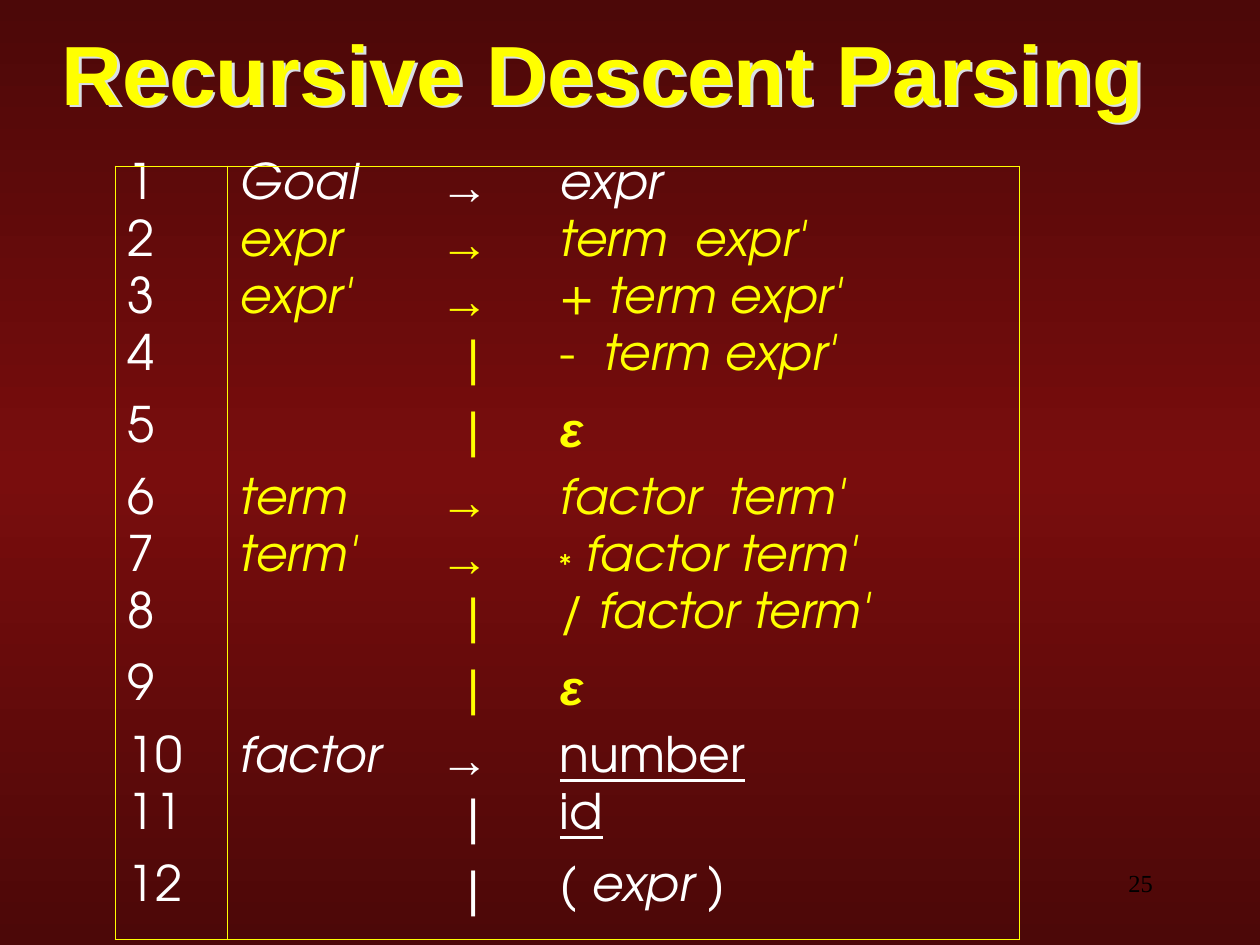
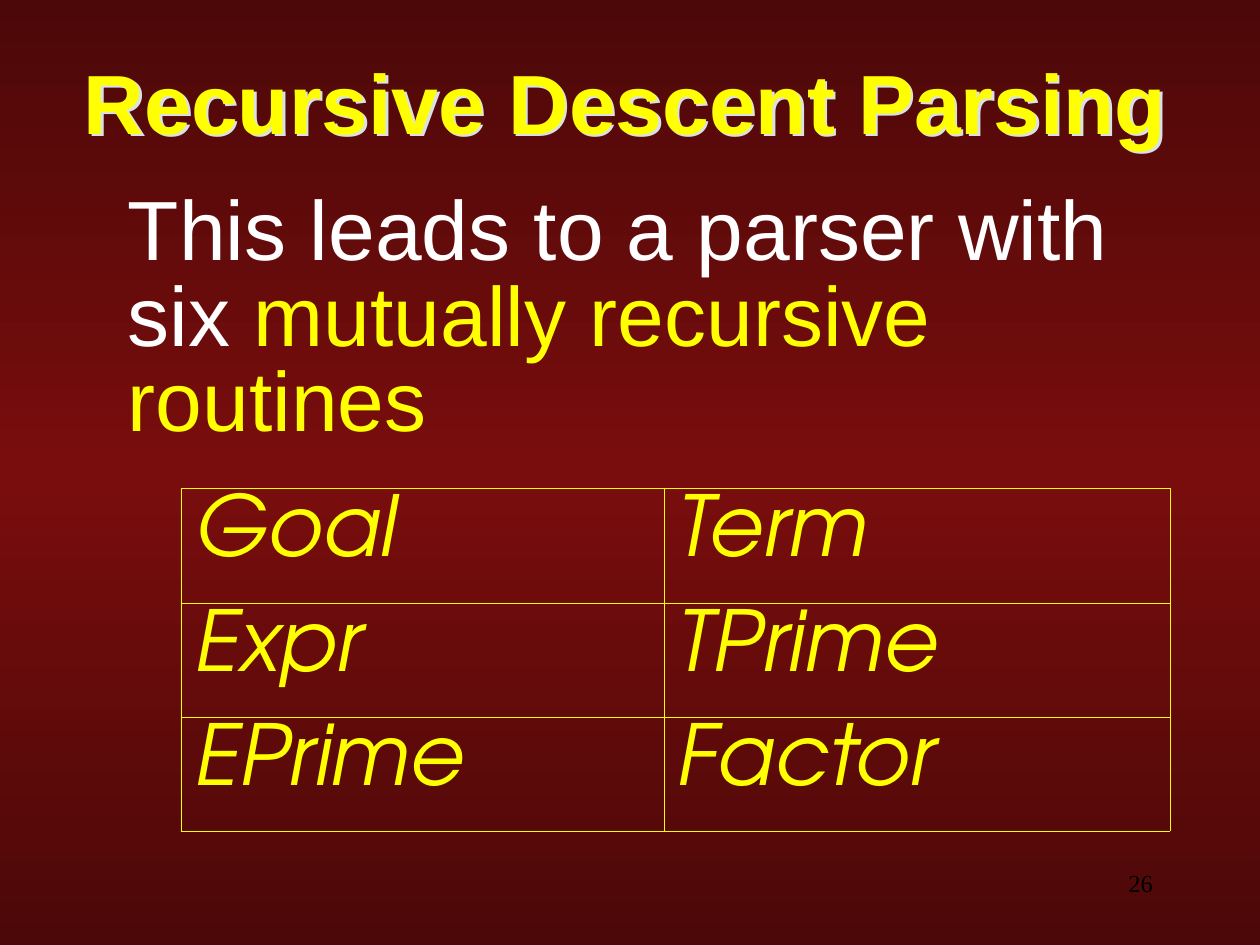
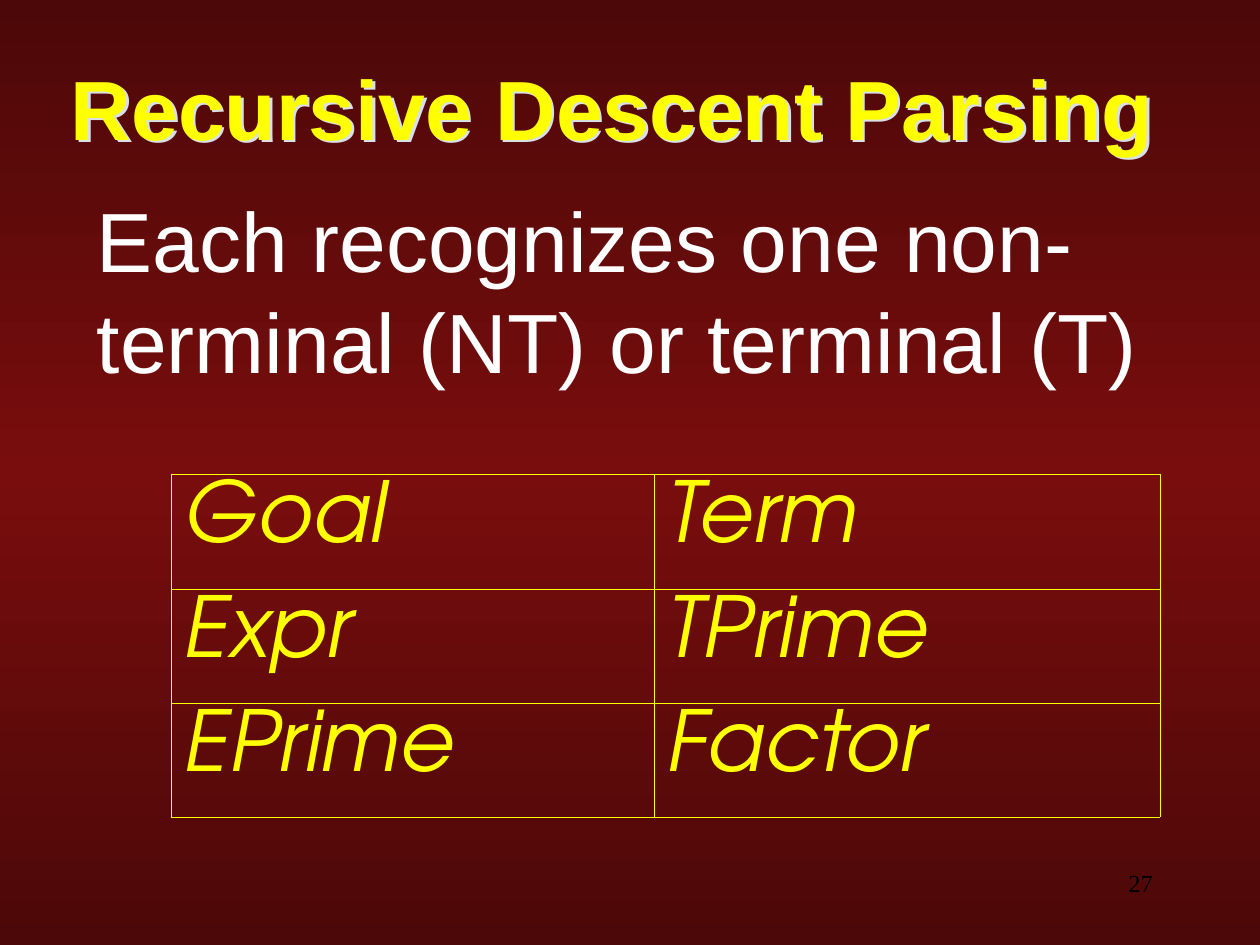
"""Build three slides on recursive descent parsing."""
from copy import deepcopy

from lxml.etree import SubElement
from pptx import Presentation
from pptx.dml.color import RGBColor
from pptx.enum.text import MSO_ANCHOR, PP_ALIGN
from pptx.oxml.ns import qn
from pptx.util import Emu, Pt

YELLOW = RGBColor(0xFF, 0xFF, 0x00)
WHITE = RGBColor(0xFF, 0xFF, 0xFF)
BLACK = RGBColor(0x00, 0x00, 0x00)
DARK_RED = RGBColor(0x4C, 0x08, 0x08)
MID_RED = RGBColor(0x79, 0x0D, 0x0D)
TITLE_SHADOW = RGBColor(0xD9, 0xE0, 0xE6)

PIXELS_PER_INCH = 126
SLIDE_SIZE = (1260, 945)
FIRST_NUMBER = 25
NUMBER_BOX = (1066, 863, 100, 40)
INSETS = {"margin_left": 13, "margin_right": 13, "margin_top": 6, "margin_bottom": 6}
BAR_INDENT = 27
TITLE = "Recursive Descent Parsing"
TITLE_SIZE = (1260, 105)

LARGE = {"name": "Arial", "size": Pt(48), "color": WHITE}
TITLE_FONT = LARGE | {"color": YELLOW, "bold": True}
ROUTINE_FONT = {"name": "TeX Gyre Adventor", "size": Pt(48), "color": YELLOW, "italic": True}
NUMBER_FONT = {"name": "Times New Roman", "size": Pt(14), "color": BLACK}
GRAMMAR_FONT = {"name": "TeX Gyre Adventor", "size": Pt(28)}
PLAIN = {}
ITALIC = {"italic": True}
UNDERLINED = {"underline": True}
EPSILON = {"name": "Arial", "bold": True, "italic": True}
LOWERED = {"baseline": -8000}

GRAMMAR = [
    (WHITE, "Goal", "→", [("expr", ITALIC)]),
    (YELLOW, "expr", "→", [("term  expr'", ITALIC)]),
    (YELLOW, "expr'", "→", [("+", PLAIN), (" term expr'", ITALIC)]),
    (YELLOW, "", "|", [("-", PLAIN), ("  term expr'", ITALIC)]),
    (YELLOW, "", "|", [("ε", EPSILON)]),
    (YELLOW, "term", "→", [("factor  term'", ITALIC)]),
    (YELLOW, "term'", "→", [("*", LOWERED), (" factor term'", ITALIC)]),
    (YELLOW, "", "|", [("∕", PLAIN), (" factor term'", ITALIC)]),
    (YELLOW, "", "|", [("ε", EPSILON)]),
    (WHITE, "factor", "→", [("number", UNDERLINED)]),
    (WHITE, "", "|", [("id", UNDERLINED)]),
    (WHITE, "", "|", [("( ", PLAIN), ("expr", ITALIC), (" )", PLAIN)]),
]
GRAMMAR_AT = (115, 166)
GRAMMAR_COLUMNS = [112, 200, 120, 472]
RULE_HEIGHT, ALTERNATIVE_HEIGHT = 57, 72

ROUTINES = [("Goal", "Term"), ("Expr", "TPrime"), ("EPrime", "Factor")]
ROUTINE_COLUMNS = [483, 506]
ROUTINE_ROWS = [115, 114, 114]

SLIDES = [
    {"title_at": (49, 19)},
    {
        "title_at": (71, 48),
        "body_box": (115, 186, 1106, 291),
        "body": [
            ("This leads to a parser with six ", PLAIN),
            ("mutually recursive routines", {"color": YELLOW}),
        ],
        "line_spacing": 0.85,
        "table_at": (181, 488),
    },
    {
        "title_at": (58, 54),
        "body_box": (84, 183, 1144, 276),
        "body": [("Each recognizes one non-terminal (NT) or terminal (T)", PLAIN)],
        "line_spacing": None,
        "table_at": (171, 474),
    },
]


def px(length):
    return Emu(round(length * 914400 / PIXELS_PER_INCH))


def set_insets(holder, extra_left=0):
    for side, inset in INSETS.items():
        setattr(holder, side, px(inset))
    holder.margin_left = px(INSETS["margin_left"] + extra_left)


def write_runs(paragraph, runs, base):
    for text, changes in runs:
        run = paragraph.add_run()
        run.text = text
        for key, value in (base | changes).items():
            if key == "color":
                run.font.color.rgb = value
            elif key == "baseline":
                run._r.get_or_add_rPr().set("baseline", str(value))
            else:
                setattr(run.font, key, value)


def add_text(slide, box, runs, base, anchor=MSO_ANCHOR.TOP):
    shape = slide.shapes.add_textbox(*map(px, box))
    frame = shape.text_frame
    frame.word_wrap = True
    frame.vertical_anchor = anchor
    set_insets(frame)
    write_runs(frame.paragraphs[0], runs, base)
    return shape


def add_title(slide, position):
    shape = add_text(slide, position + TITLE_SIZE, [(TITLE, PLAIN)], TITLE_FONT, MSO_ANCHOR.MIDDLE)
    effects = SubElement(shape._element.spPr, qn("a:effectLst"))
    shadow = SubElement(effects, qn("a:outerShdw"), dist="25400", dir="2700000", algn="ctr", rotWithShape="0")
    SubElement(shadow, qn("a:srgbClr"), val=str(TITLE_SHADOW))


def set_borders(cell, visible):
    properties = cell._tc.get_or_add_tcPr()
    for side in "LRTB":
        line = SubElement(properties, qn(f"a:ln{side}"), w=str(Pt(0.45)))
        if side in visible:
            fill = SubElement(line, qn("a:solidFill"))
            SubElement(fill, qn("a:srgbClr"), val=str(YELLOW))
        else:
            SubElement(line, qn("a:noFill"))


def add_grid(slide, position, widths, heights, borders_for):
    box = (*position, sum(widths), sum(heights))
    table = slide.shapes.add_table(len(heights), len(widths), *map(px, box)).table
    table.first_row = table.horz_banding = False
    for column, width in zip(table.columns, widths):
        column.width = px(width)
    for row, height in zip(table.rows, heights):
        row.height = px(height)
    for row in range(len(heights)):
        for column in range(len(widths)):
            cell = table.cell(row, column)
            set_insets(cell)
            set_borders(cell, borders_for(row, column))
            cell.fill.background()
    return table


def grammar_borders(row, column):
    sides = {0: "LR", 1: "L", 3: "R"}.get(column, "")
    return sides + {0: "T", len(GRAMMAR) - 1: "B"}.get(row, "")


def add_grammar(slide):
    heights = [RULE_HEIGHT if head else ALTERNATIVE_HEIGHT for _, head, _, _ in GRAMMAR]
    table = add_grid(slide, GRAMMAR_AT, GRAMMAR_COLUMNS, heights, grammar_borders)
    for row, (color, head, mark, production) in enumerate(GRAMMAR):
        mark_format = {"name": "Arial", "bold": mark == "→"}
        contents = [
            [(str(row + 1), {"color": WHITE})],
            [(head, ITALIC)] if head else [],
            [(mark, mark_format)],
            production,
        ]
        for column, runs in enumerate(contents):
            if runs:
                paragraph = table.cell(row, column).text_frame.paragraphs[0]
                paragraph.line_spacing = 0.75
                write_runs(paragraph, runs, GRAMMAR_FONT | {"color": color})
        if mark == "|":
            set_insets(table.cell(row, 2), BAR_INDENT)


def add_routines(slide, position):
    table = add_grid(slide, position, ROUTINE_COLUMNS, ROUTINE_ROWS, lambda row, column: "LRTB")
    for row, names in enumerate(ROUTINES):
        for column, name in enumerate(names):
            paragraph = table.cell(row, column).text_frame.paragraphs[0]
            write_runs(paragraph, [(name, PLAIN)], ROUTINE_FONT)


def set_background(master):
    fill = master.background.fill
    fill.gradient()
    fill.gradient_angle = 270
    stop_list = master.element.find(".//" + qn("p:bg")).find(".//" + qn("a:gsLst"))
    stop_list.append(deepcopy(stop_list[0]))
    for stop, position, color in zip(fill.gradient_stops, (0, 0.5, 1), (DARK_RED, MID_RED, DARK_RED)):
        stop.position = position
        stop.color.rgb = color


def main():
    presentation = Presentation()
    presentation.slide_width, presentation.slide_height = map(px, SLIDE_SIZE)
    set_background(presentation.slide_master)
    for number, content in enumerate(SLIDES, FIRST_NUMBER):
        slide = presentation.slides.add_slide(presentation.slide_layouts[6])
        add_title(slide, content["title_at"])
        if "body" in content:
            body = add_text(slide, content["body_box"], content["body"], LARGE)
            body.text_frame.paragraphs[0].line_spacing = content["line_spacing"]
            add_routines(slide, content["table_at"])
        else:
            add_grammar(slide)
        number_shape = add_text(slide, NUMBER_BOX, [(str(number), PLAIN)], NUMBER_FONT, MSO_ANCHOR.MIDDLE)
        number_shape.text_frame.paragraphs[0].alignment = PP_ALIGN.RIGHT
    presentation.save("out.pptx")


if __name__ == "__main__":
    main()
